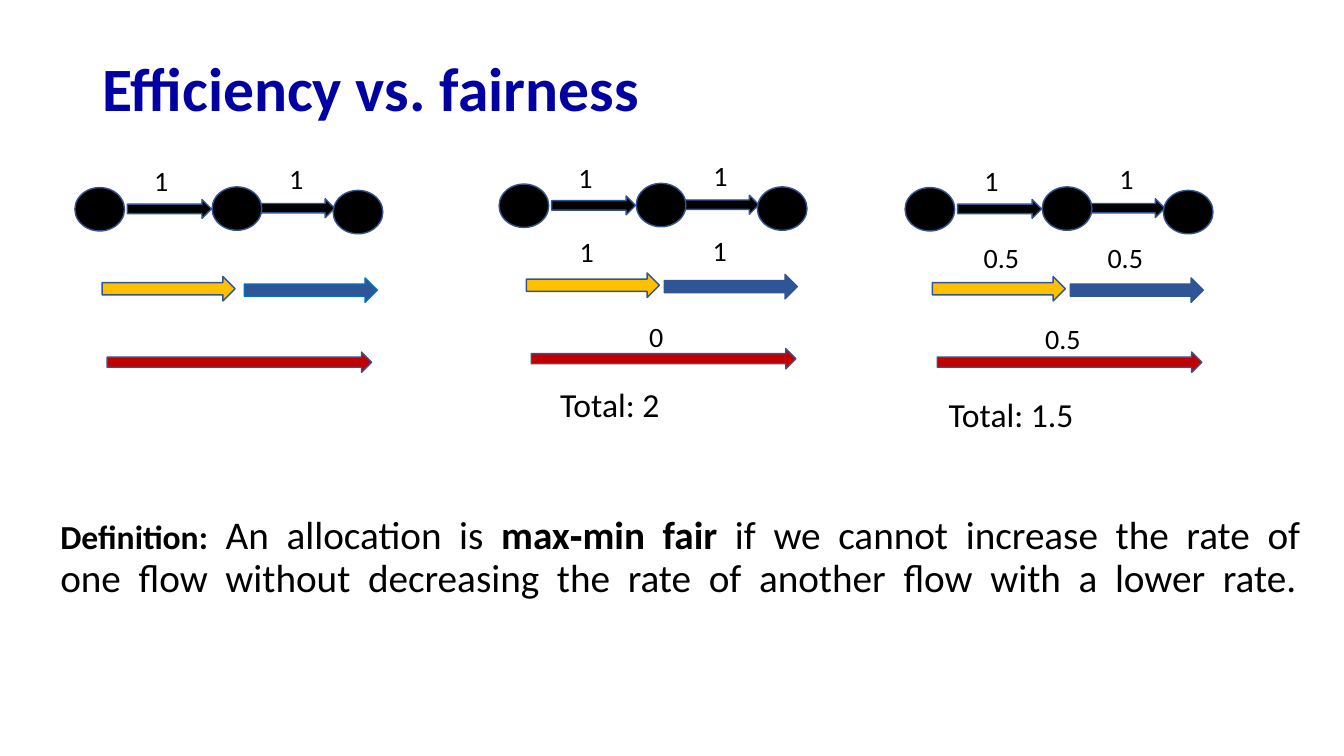
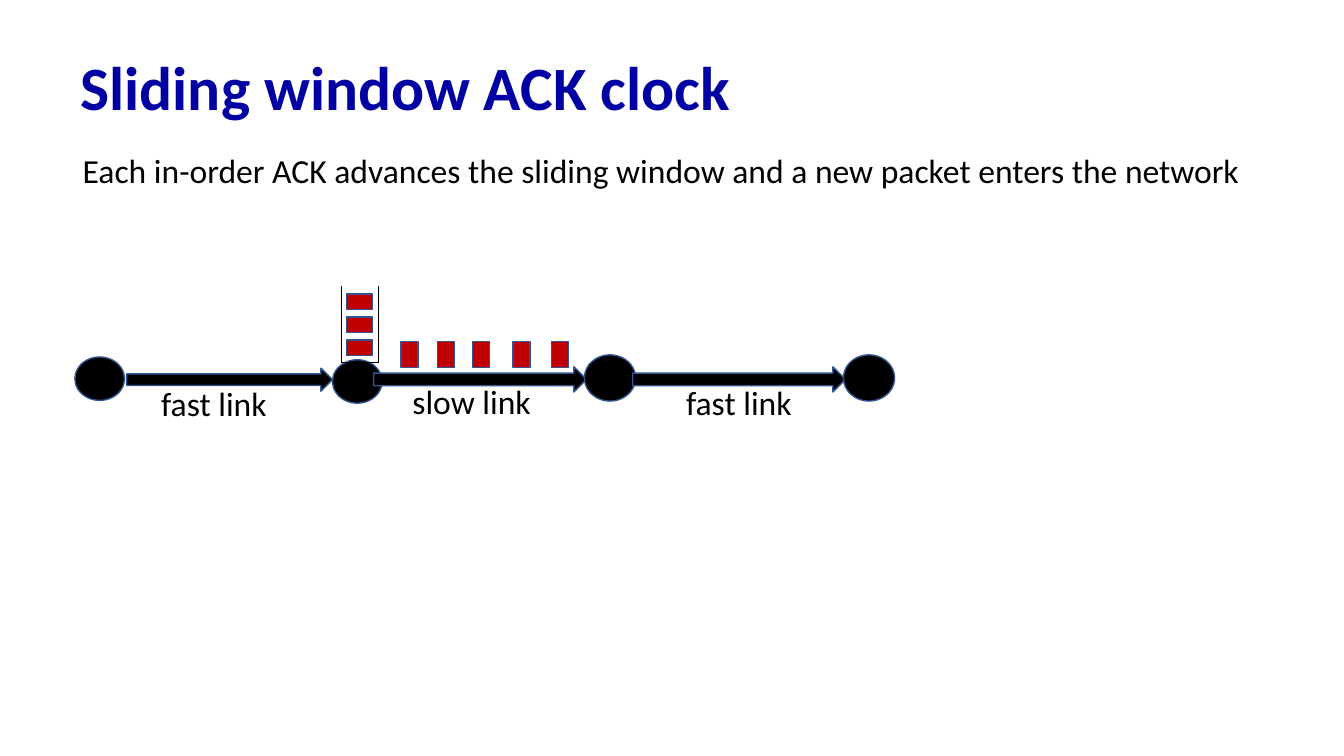
import pptx
import pptx.dml.color
import pptx.enum.shapes
import pptx.enum.text
import pptx.oxml
import pptx.util

Pt = pptx.util.Pt
SHAPES = pptx.enum.shapes.MSO_SHAPE
ANCHOR = pptx.enum.text.MSO_ANCHOR

BLACK, RED, YELLOW, BLUE = "000000", "C00000", "FFC000", "2F5597"
OUTLINE, BRIGHT_BLUE, TITLE_BLUE = "325491", "0070C0", "0000A3"

NODE_SIZE = (35.5, 31)
LABEL_SIZE = (98.5, 31.5)


def color(hex_string):
    return pptx.dml.color.RGBColor.from_string(hex_string)


class Deck:
    """Holds the shared style and the slide being drawn."""

    font_name = "Calibri"
    title_format = {"size": Pt(44), "bold": True}

    def __init__(self):
        self.presentation = pptx.Presentation()
        self.presentation.slide_width = Pt(960)
        self.presentation.slide_height = Pt(540)
        self.slide = None

    def add_slide(self, title, left, top, width, height):
        layout = self.presentation.slide_layouts[6]
        self.slide = self.presentation.slides.add_slide(layout)
        paragraph = self.text_box(left, top, width, height, ANCHOR.MIDDLE, 0.9)
        self.run(paragraph, title, TITLE_BLUE, **self.title_format)

    def text_box(self, left, top, width, height, anchor=ANCHOR.TOP, spacing=1.0):
        """Add an empty text box and return its paragraph."""
        shape = self.slide.shapes.add_textbox(Pt(left), Pt(top), Pt(width), Pt(height))
        frame = shape.text_frame
        frame.word_wrap = True
        frame.vertical_anchor = anchor
        paragraph = frame.paragraphs[0]
        paragraph.line_spacing = spacing
        return paragraph

    def run(self, paragraph, text, hex_string=BLACK, **font_format):
        run = paragraph.add_run()
        run.text = text
        for name, value in {"name": self.font_name, **font_format}.items():
            setattr(run.font, name, value)
        run.font.color.rgb = color(hex_string)
        return run

    def spread_words(self, paragraph, text, gap, **font_format):
        """Add the words of a text, each followed by a space widened by gap."""
        for word in text.split():
            self.run(paragraph, word, **font_format)
            space = self.run(paragraph, " ", size=Pt(28))
            space.font._element.set("spc", str(round(gap * 100)))

    def label(self, text, left, top, size=20, width=LABEL_SIZE[0], height=LABEL_SIZE[1]):
        self.run(self.text_box(left, top, width, height), text, size=Pt(size))

    def shape(self, kind, left, top, width, height, fill=BLACK, outline=OUTLINE):
        shape = self.slide.shapes.add_shape(kind, Pt(left), Pt(top), Pt(width), Pt(height))
        shape.shadow.inherit = False
        shape.fill.solid()
        shape.fill.fore_color.rgb = color(fill)
        shape.line.color.rgb = color(outline)
        shape.line.width = Pt(1)

    def node(self, left, top, width=NODE_SIZE[0], height=NODE_SIZE[1]):
        self.shape(SHAPES.OVAL, left, top, width, height)

    def arrow(self, left, top, width, height, fill=BLACK, outline=OUTLINE):
        self.shape(SHAPES.RIGHT_ARROW, left, top, width, height, fill, outline)

    def packet(self, left, top, width, height, outline=OUTLINE):
        self.shape(SHAPES.RECTANGLE, left, top, width, height, RED, outline)

    def line(self, *ends):
        connector = self.slide.shapes.add_connector(
            pptx.enum.shapes.MSO_CONNECTOR.STRAIGHT, *map(Pt, ends))
        connector.line.color.rgb = color(BLACK)
        connector.line.width = Pt(0.5)
        properties = connector._element.spPr
        properties.append(pptx.oxml.parse_xml(
            '<a:effectLst xmlns:a="http://schemas.openxmlformats.org/drawingml/2006/main"/>'))

    def flow_panel(self, left, top, blue_left=118, blue_outline=OUTLINE, rates=(), total=None):
        """Draw two links and three flows; rates and total are (text, x, y) in the panel."""
        self.arrow(left + 125.5, top + 8, 60, 13.5)
        for x, y in ((0, 0), (98, -0.5)):
            self.node(left + x, top + y)
        self.arrow(left + 37.5, top + 8.5, 60, 13.5)
        self.node(left + 184.5, top + 2)
        self.arrow(left + 23, top + 117.5, 189, 14.5, RED)
        self.arrow(left + 19.5, top + 63.5, 95, 17.5, YELLOW)
        self.arrow(left + blue_left, top + 64.5, 95, 17.5, BLUE, blue_outline)
        capacities = (("1", 49.5, -20.5), ("1", 146, -22))
        for text, x, y in capacities + tuple(rates):
            self.label(text, left + x, top + y)
        if total:
            text, x, y = total
            self.label(text, left + x, top + y, 24, 196.5, 36)


def fairness_slide(deck):
    deck.add_slide("Efficiency vs. fairness", 66, 29, 828, 72.5)
    definition = deck.text_box(36, 365, 914.5, 102, spacing=0.9)
    for text, size, bold in (
        ("Definition:", 24, True),
        ("An allocation is", 28, False),
        ("max‐min fair", 28, True),
        ("if we cannot increase the rate of one flow without "
         "decreasing the rate of another flow with a lower rate.", 28, False),
    ):
        deck.spread_words(definition, text, 6.3, size=Pt(size), bold=bold)
    deck.flow_panel(53.5, 134, blue_left=121, blue_outline=BRIGHT_BLUE)
    deck.flow_panel(
        356.5, 131.5,
        rates=(("1", 50.5, 32.5), ("1", 145.5, 32), ("0", 100, 93)),
        total=("Total: 2", 36.5, 139))
    deck.flow_panel(
        646.5, 134,
        rates=(("0.5", 49, 34), ("0.5", 137.5, 34), ("0.5", 93, 92)),
        total=("Total: 1.5", 24, 143.5))


def sliding_window_slide(deck):
    deck.add_slide("Sliding window ACK clock", 50.5, 26, 818, 78)
    deck.run(
        deck.text_box(52, 106.5, 888.5, 342.5, spacing=0.9),
        "Each in-order ACK advances the sliding window and a new packet enters the network",
        size=Pt(24))

    deck.node(53.5, 255)
    deck.arrow(90.5, 263, 147, 16.5)
    deck.node(237.5, 257)
    for link_left, node_left in ((267, 417.5), (452, 602.5)):
        deck.arrow(link_left, 262, 152, 18)
        deck.node(node_left, 253.5, 36.5, 33)
    for text, left, top in (
        ("fast link", 108, 270), ("fast link", 483, 269.5), ("slow link", 287.5, 268.5),
    ):
        deck.label(text, left, top, 24, 116.5, 36)

    for row in range(3):
        deck.packet(247.5, 210 + 16.5 * row, 18.5, 11)
    for ends in (
        (270.5, 204, 270.5, 259), (243.5, 204, 243.5, 259), (270.5, 259, 243.5, 259),
        (448.5, 260, 421, 260), (635, 261.5, 607, 261.5),
    ):
        deck.line(*ends)
    for left in (286.5, 312.5, 337.5, 366.5, 394):
        deck.packet(left, 244, 12, 18.5, BLUE)


def main():
    deck = Deck()
    fairness_slide(deck)
    sliding_window_slide(deck)
    deck.presentation.save("out.pptx")


if __name__ == "__main__":
    main()
